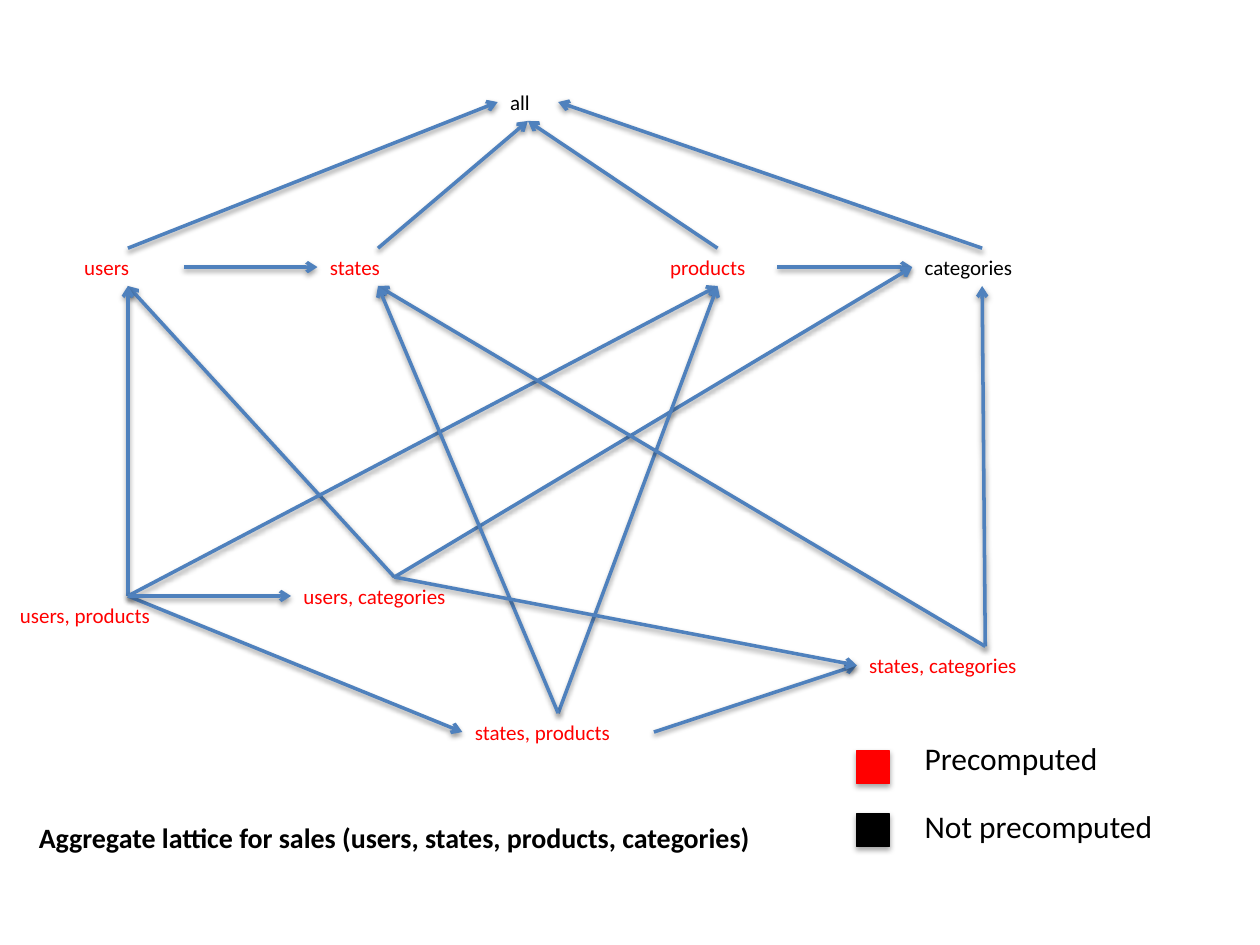
from lxml.etree import SubElement
from pptx import Presentation
from pptx.dml.color import RGBColor
from pptx.enum.shapes import MSO_CONNECTOR, MSO_SHAPE
from pptx.enum.text import MSO_AUTO_SIZE
from pptx.oxml.ns import qn
from pptx.util import Inches, Pt

FONT = "Calibri"
COLORS = {"precomputed": "FF0000", "not precomputed": "000000",
          "arrow": "4F81BD", "text": "000000", "shadow": "000000"}
TOP, LEFT, BOTTOM, RIGHT = range(4)  # connection sites of a rectangle
NODE_HEIGHT = 0.3

# label: (left, top, width, status)
NODES = {
    "all": (3.95, 0.66, 0.48, "not precomputed"),
    "users": (0.57, 1.97, 0.89, "precomputed"),
    "states": (2.52, 1.97, 0.96, "precomputed"),
    "products": (5.22, 1.97, 0.95, "precomputed"),
    "categories": (7.24, 1.97, 1.11, "not precomputed"),
    "users, products": (0.06, 4.73, 1.91, "precomputed"),
    "states, products": (3.67, 5.66, 1.52, "precomputed"),
    "users, categories": (2.31, 4.58, 1.64, "precomputed"),
    "states, categories": (6.8, 5.13, 2.04, "precomputed"),
}

# (finer aggregate, site, coarser aggregate, site)
EDGES = [
    ("users", RIGHT, "states", LEFT),
    ("products", RIGHT, "categories", LEFT),
    ("users, categories", TOP, "users", BOTTOM),
    ("users, categories", TOP, "categories", LEFT),
    ("users", TOP, "all", LEFT),
    ("states", TOP, "all", BOTTOM),
    ("products", TOP, "all", BOTTOM),
    ("categories", TOP, "all", RIGHT),
    ("users, products", TOP, "users", BOTTOM),
    ("users, products", TOP, "products", BOTTOM),
    ("states, products", TOP, "products", BOTTOM),
    ("states, categories", TOP, "categories", BOTTOM),
    ("states, categories", TOP, "states", BOTTOM),
    ("states, products", TOP, "states", BOTTOM),
    ("users, products", TOP, "states, products", LEFT),
    ("states, products", RIGHT, "states, categories", LEFT),
    ("users, categories", TOP, "states, categories", LEFT),
    ("users, products", TOP, "users, categories", LEFT),
]

# (label, status, swatch top, label top, label width)
LEGEND = [("Precomputed", "precomputed", 5.96, 5.82, 1.67),
          ("Not precomputed", "not precomputed", 6.46, 6.36, 2.01)]


def rgb(role):
    """Return the colour of a role."""
    return RGBColor.from_string(COLORS[role])


def add_label(slide, text, box, size, role="text", bold=None):
    """Add a one-line label in a box of left, top, width, height."""
    label = slide.shapes.add_textbox(*map(Inches, box))
    frame = label.text_frame
    frame.word_wrap = True
    frame.auto_size = MSO_AUTO_SIZE.SHAPE_TO_FIT_TEXT
    run = frame.paragraphs[0].add_run()
    run.text = text
    run.font.name, run.font.size, run.font.bold = FONT, Pt(size), bold
    run.font.color.rgb = rgb(role)
    return label


def add_shadow(shape, opacity, distance):
    """Give a shape a soft shadow straight below it."""
    effects = SubElement(shape._element.spPr, qn("a:effectLst"))
    shadow = SubElement(effects, qn("a:outerShdw"), blurRad=str(Pt(3.1)),
                        dist=str(Pt(distance)), dir="5400000", rotWithShape="0")
    color = SubElement(shadow, qn("a:srgbClr"), val=COLORS["shadow"])
    SubElement(color, qn("a:alpha"), val=str(opacity * 1000))


def add_arrow(slide, source, source_site, target, target_site):
    """Join two labels with an arrow glued to their connection sites."""
    arrow = slide.shapes.add_connector(MSO_CONNECTOR.STRAIGHT, 0, 0, 0, 0)
    arrow.begin_connect(source, source_site)
    arrow.end_connect(target, target_site)
    arrow.line.color.rgb = rgb("arrow")
    arrow.line.width = Pt(2)
    SubElement(arrow.line._get_or_add_ln(), qn("a:tailEnd"), type="arrow")
    add_shadow(arrow, 38, 1.6)


def add_swatch(slide, left, top, role):
    """Add a coloured legend square."""
    swatch = slide.shapes.add_shape(
        MSO_SHAPE.RECTANGLE, *map(Inches, (left, top, 0.26, 0.26)))
    swatch.fill.solid()
    swatch.fill.fore_color.rgb = rgb(role)
    swatch.line.color.rgb = rgb(role)
    swatch.line.width = Pt(0.75)
    add_shadow(swatch, 35, 1.8)


def main():
    """Build the lattice slide."""
    deck = Presentation()
    deck.slide_width, deck.slide_height = Inches(10), Inches(7.5)
    slide = deck.slides.add_slide(deck.slide_layouts[6])

    labels = {
        name: add_label(slide, name, (left, top, width, NODE_HEIGHT), 12, status)
        for name, (left, top, width, status) in NODES.items()
    }
    for source, source_site, target, target_site in EDGES:
        add_arrow(slide, labels[source], source_site, labels[target], target_site)

    for text, status, swatch_top, label_top, width in LEGEND:
        add_swatch(slide, 6.8, swatch_top, status)
        add_label(slide, text, (7.24, label_top, width, 0.4), 18)
    add_label(slide, "Aggregate lattice for sales (users, states, products, categories)",
              (0.21, 6.46, 6.24, 0.37), 16, bold=True)
    deck.save("out.pptx")


main()
